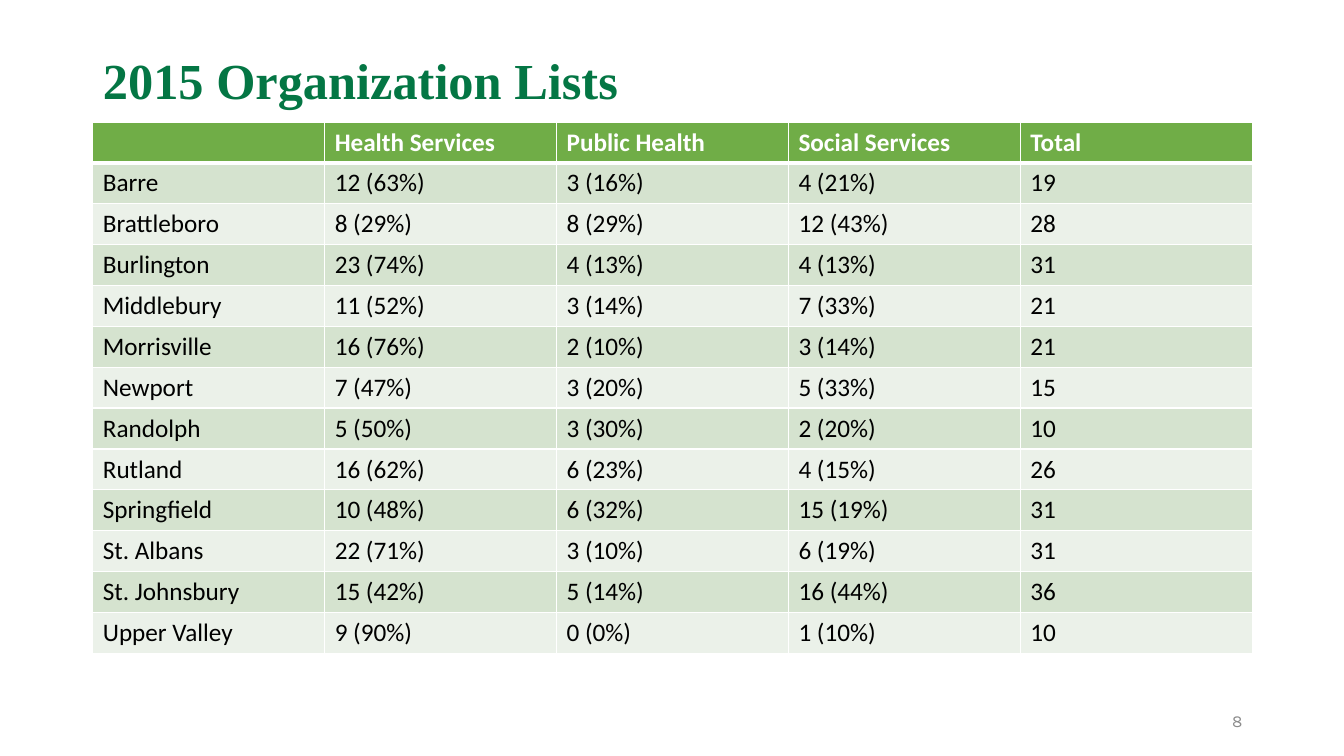
from lxml import etree
from pptx import Presentation
from pptx.dml.color import RGBColor
from pptx.enum import text
from pptx.oxml import ns
from pptx.util import Inches, Pt

COLORS = {
    "title": "047644",
    "header": "70AD47",
    "odd": "D5E3CF",
    "even": "EBF1E9",
    "white": "FFFFFF",
    "black": "000000",
    "number": "8C8C8C",
}

HEADINGS = ["", "Health Services", "Public Health", "Social Services", "Total"]
ORGANIZATIONS = [
    ["Barre", "12 (63%)", "3 (16%)", "4 (21%)", "19"],
    ["Brattleboro", "8 (29%)", "8 (29%)", "12 (43%)", "28"],
    ["Burlington", "23 (74%)", "4 (13%)", "4 (13%)", "31"],
    ["Middlebury", "11 (52%)", "3 (14%)", "7 (33%)", "21"],
    ["Morrisville", "16 (76%)", "2 (10%)", "3 (14%)", "21"],
    ["Newport", "7 (47%)", "3 (20%)", "5 (33%)", "15"],
    ["Randolph", "5 (50%)", "3 (30%)", "2 (20%)", "10"],
    ["Rutland", "16 (62%)", "6 (23%)", "4 (15%)", "26"],
    ["Springfield", "10 (48%)", "6 (32%)", "15 (19%)", "31"],
    ["St. Albans", "22 (71%)", "3 (10%)", "6 (19%)", "31"],
    ["St. Johnsbury", "15 (42%)", "5 (14%)", "16 (44%)", "36"],
    ["Upper Valley", "9 (90%)", "0 (0%)", "1 (10%)", "10"],
]


class SlideBuilder:
    def __init__(self, slide):
        self.slide = slide

    def color(self, name):
        return RGBColor.from_string(COLORS[name])

    def style(self, paragraph, size, face, color, bold=False):
        for run in paragraph.runs:
            run.font.size = Pt(size)
            run.font.name = face
            run.font.bold = bold
            run.font.color.rgb = self.color(color)

    def title(self, wording, left, top, width, height):
        heading = self.slide.shapes.title
        heading.left, heading.top = Inches(left), Inches(top)
        heading.width, heading.height = Inches(width), Inches(height)
        frame = heading.text_frame
        frame.text = wording
        frame.vertical_anchor = text.MSO_ANCHOR.MIDDLE
        line = frame.paragraphs[0]
        line.alignment = text.PP_ALIGN.LEFT
        line.line_spacing = 0.9
        self.style(line, 36, "Times New Roman", "title", True)

    def border(self, cell, side, width):
        edge = etree.SubElement(cell._tc.get_or_add_tcPr(), ns.qn(f"a:ln{side}"), w=str(Pt(width)))
        paint = etree.SubElement(edge, ns.qn("a:solidFill"))
        etree.SubElement(paint, ns.qn("a:srgbClr"), val=COLORS["white"])

    def cell(self, cell, wording, fill, color, top_width, bottom_width, bold):
        for side, width in (("L", 1), ("R", 1), ("T", top_width), ("B", bottom_width)):
            self.border(cell, side, width)
        cell.fill.solid()
        cell.fill.fore_color.rgb = self.color(fill)
        cell.text_frame.text = wording
        line = cell.text_frame.paragraphs[0]
        line.font.size = Pt(18)
        self.style(line, 18, "Calibri", color, bold)

    def table(self, rows, left, top, width, height):
        frame = self.slide.shapes.add_table(
            len(rows), len(rows[0]), Inches(left), Inches(top), Inches(width), Inches(height)
        )
        for index, row in enumerate(rows):
            header = index == 0
            fill = "header" if header else "odd" if index % 2 else "even"
            color = "white" if header else "black"
            top_width = 3 if index == 1 else 1
            bottom_width = 3 if header else 1
            for column, wording in enumerate(row):
                self.cell(frame.table.cell(index, column), wording, fill, color,
                          top_width, bottom_width, header)

    def page_number(self, wording, left, top, width, height):
        box = self.slide.shapes.add_textbox(Inches(left), Inches(top), Inches(width), Inches(height))
        frame = box.text_frame
        frame.word_wrap = True
        frame.vertical_anchor = text.MSO_ANCHOR.MIDDLE
        frame.text = wording
        frame.paragraphs[0].alignment = text.PP_ALIGN.RIGHT
        self.style(frame.paragraphs[0], 12, "Karla", "number")


def main():
    deck = Presentation()
    deck.slide_width, deck.slide_height = Inches(13.33), Inches(7.5)
    builder = SlideBuilder(deck.slides.add_slide(deck.slide_layouts[5]))
    builder.title("2015 Organization Lists", 0.92, 0.1, 11.5, 1.45)
    builder.table([HEADINGS] + ORGANIZATIONS, 0.92, 1.21, 11.5, 5.27)
    builder.page_number("8", 9.42, 6.95, 3, 0.4)
    deck.save("out.pptx")


if __name__ == "__main__":
    main()
